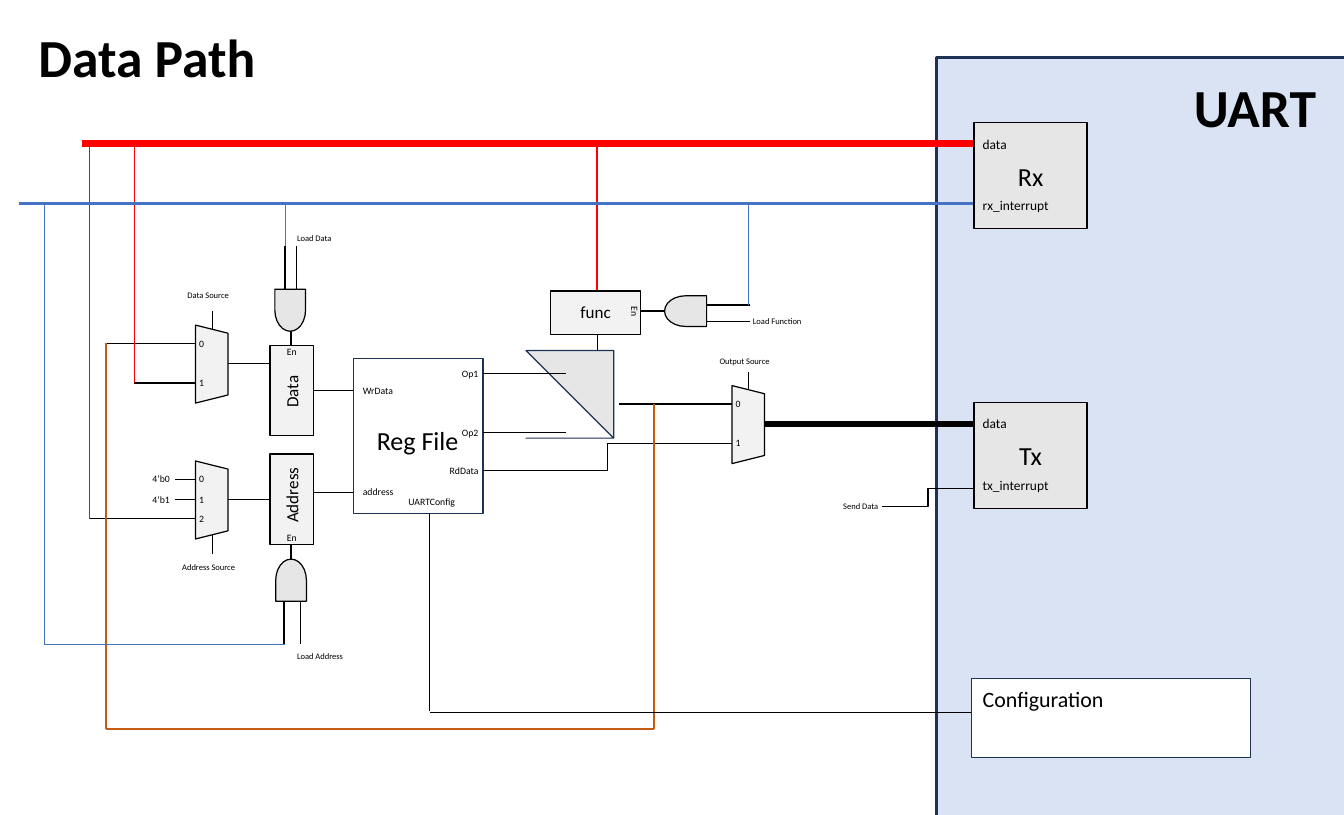
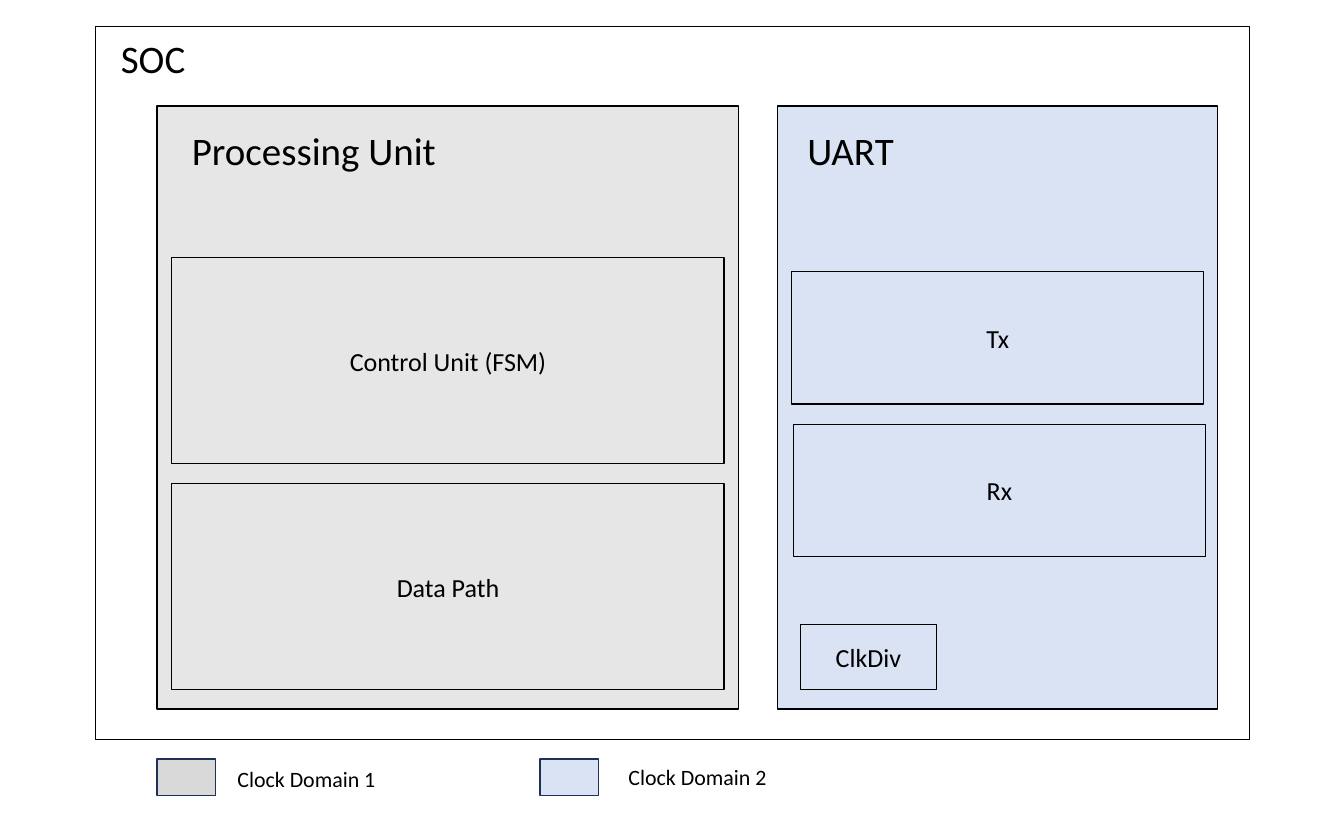
import pptx
import pptx.util
import pptx.dml.color
import pptx.enum.shapes
import pptx.enum.text
import pptx.oxml

# Shared style; every length counts cells of a one-inch grid
CELL = pptx.util.Inches(1)
COLUMNS, ROWS = 15.33, 9.3
FONT = "Calibri"
SIZES = {"title": 44, "unit": 32, "block": 21.4, "caption": 18,
         "name": 14, "port": 11, "pin": 8, "signal": 7}
COLORS = {"ink": "000000", "navy": "1E3256", "uart": "DAE3F3", "unit": "E7E6E6",
          "part": "F2F2F2", "domain": "D9D9D9", "paper": "FFFFFF",
          "data": "FF0000", "interrupt": "4472C4", "result": "C55A11"}
SHAPE = pptx.enum.shapes.MSO_SHAPE
CONNECTOR = pptx.enum.shapes.MSO_CONNECTOR
ALIGN = pptx.enum.text.PP_ALIGN
ANCHOR = pptx.enum.text.MSO_ANCHOR

# Lanes and part sizes of the data path
DATA_BUS, INTERRUPT_BUS = 1.64, 2.32
ADDRESS_LANE, RESULT_LANE, DATA_LANE = 1.02, 1.21, 1.53
MUX_WIDTH, MUX_HEIGHT = 0.37, 0.89
GATE_LENGTH, GATE_WIDTH = 0.48, 0.35
REGISTER_LEFT, REGISTER_WIDTH, REGISTER_HEIGHT = 3.08, 0.5, 1.03
FILE_LEFT, FILE_RIGHT = 4.03, 5.51
UART_PORT = 11.11


def cells(*lengths):
    return [round(length * CELL) for length in lengths]


def rgb(name):
    return pptx.dml.color.RGBColor.from_string(COLORS[name])


def write_text(frame, text, *, size="block", bold=False, center=False):
    paragraph = frame.paragraphs[0]
    paragraph.alignment = ALIGN.CENTER if center else ALIGN.LEFT
    run = paragraph.add_run()
    run.text = text
    run.font.name = FONT
    run.font.size = pptx.util.Pt(SIZES[size])
    run.font.bold = bold
    run.font.color.rgb = rgb("ink")


def label(slide, text, left, top, width, height=0.24, *, turn=0, wrap=True, **style):
    box = slide.shapes.add_textbox(*cells(left, top, width, height))
    box.rotation = turn
    box.text_frame.word_wrap = wrap
    write_text(box.text_frame, text, **style)


def paint(shape, fill, line, weight):
    shape.shadow.inherit = False
    if fill:
        shape.fill.solid()
        shape.fill.fore_color.rgb = rgb(fill)
    else:
        shape.fill.background()
    shape.line.color.rgb = rgb(line)
    shape.line.width = pptx.util.Pt(weight)


def block(slide, left, top, width, height, fill, *, text=None, line="ink",
          weight=1, kind=SHAPE.RECTANGLE, turn=0):
    shape = slide.shapes.add_shape(kind, *cells(left, top, width, height))
    shape.rotation = turn
    paint(shape, fill, line, weight)
    if text:
        shape.text_frame.vertical_anchor = ANCHOR.MIDDLE
        write_text(shape.text_frame, text, center=True)


def wire(slide, start, end, color="ink", weight=1, kind=CONNECTOR.STRAIGHT):
    link = slide.shapes.add_connector(kind, *cells(*start, *end))
    link.line.color.rgb = rgb(color)
    link.line.width = pptx.util.Pt(weight)
    link._element.spPr.append(pptx.oxml.parse_xml(
        '<a:effectLst xmlns:a="http://schemas.openxmlformats.org/drawingml/2006/main"/>'))


def turned_block(slide, x, y, length, breadth, fill, kind, turn):
    """Place a rotated shape by its centre."""
    block(slide, x - length / 2, y - breadth / 2, length, breadth, fill,
          kind=kind, turn=turn)


def gate(slide, x, y, turn):
    turned_block(slide, x, y, GATE_LENGTH, GATE_WIDTH, "unit",
                 SHAPE.FLOWCHART_DELAY, turn)


def mux(slide, left, top, inputs, output, *, select=-0.16, weight=1):
    """inputs: (digit, row below the top, column where its wire starts or None)."""
    right, middle = left + MUX_WIDTH, top + 0.44
    turned_block(slide, left + MUX_WIDTH / 2, top + MUX_HEIGHT / 2,
                 MUX_HEIGHT, MUX_WIDTH, "part", SHAPE.TRAPEZOID, 90)
    wire(slide, (right, middle), (output, middle), weight=weight)
    wire(slide, (left + 0.19, top + select), (left + 0.19, top + select + 0.21))
    for digit, row, start in inputs:
        if start is not None:
            wire(slide, (start, top + row), (left, top + row))
        label(slide, digit, left, top + row - 0.12, 0.14, size="pin",
              center=True, wrap=False)


def register(slide, name, top, name_row, enable_top, output_row):
    middle = REGISTER_LEFT + REGISTER_WIDTH / 2
    right = REGISTER_LEFT + REGISTER_WIDTH
    block(slide, REGISTER_LEFT, top, REGISTER_WIDTH, REGISTER_HEIGHT, "part")
    label(slide, "En", middle - 0.28, enable_top, 0.56, size="pin", center=True)
    label(slide, name, middle - REGISTER_HEIGHT / 2, name_row - 0.17,
          REGISTER_HEIGHT, 0.34, turn=270, size="name", center=True)
    wire(slide, (right, output_row), (FILE_LEFT, output_row))


def transceiver(slide, name, interrupt, top):
    block(slide, UART_PORT, top, 1.29, 1.21, "unit", text=name)
    label(slide, "data", UART_PORT, top + 0.1, 0.54, 0.29, size="port")
    label(slide, interrupt, UART_PORT, top + 0.8, 1.03, 0.29, size="port")


def draw_registers(slide):
    # Load gates
    gate(slide, 3.31, 3.54, 90)
    gate(slide, 3.32, 6.62, 270)
    for x, start, end in [(3.25, 2.81, 3.3), (3.38, 2.81, 3.3), (3.32, 3.78, 4.26),
                          (3.24, 7.35, 6.87), (3.43, 7.35, 6.87), (3.32, 6.39, 5.9)]:
        wire(slide, (x, start), (x, end))

    # Source selectors and the registers they feed
    mux(slide, 2.23, 3.71, [("0", 0.21, RESULT_LANE), ("1", 0.66, DATA_LANE)],
        REGISTER_LEFT)
    mux(slide, 2.23, 5.26, [("0", 0.21, 2), ("1", 0.44, 2), ("2", 0.66, ADDRESS_LANE)],
        REGISTER_LEFT, select=0.85)
    register(slide, "Data", 3.94, 4.47, 3.9, 4.46)
    register(slide, "Address", 5.18, 5.65, 6.02, 5.62)

    # Register file and its pins
    block(slide, FILE_LEFT, 4.09, FILE_RIGHT - FILE_LEFT, 1.77, None, line="navy")
    label(slide, "Reg File", 4.2, 4.79, 1.14, 0.46, wrap=False)
    for pin, left, top, width in [
            ("WrData", 4.04, 4.34, 0.56), ("address", 4.04, 5.5, 0.56),
            ("Op1", 5.17, 4.15, 0.46), ("Op2", 5.17, 4.82, 0.46),
            ("RdData", 5.03, 5.26, 0.56), ("UARTConfig", 4.56, 5.61, 0.76),
            ("4’b0", 1.64, 5.35, 0.43), ("4’b1", 1.64, 5.58, 0.43)]:
        label(slide, pin, left, top, width, size="pin")


def draw_function(slide):
    # Function block with its load gate
    gate(slide, 7.82, 3.55, 180)
    for y in (3.48, 3.67):
        wire(slide, (8.55, y), (8.07, y))
    wire(slide, (7.58, 3.55), (7.1, 3.55))
    wire(slide, (6.82, 3.81), (6.82, 4.29))
    block(slide, 6.28, 3.32, 1.03, 0.5, "part")
    label(slide, "En", 6.96, 3.44, 0.56, turn=90, size="pin", center=True)
    label(slide, "func", 6.51, 3.39, 0.57, 0.34, size="name", center=True)

    # Arithmetic unit and its operands
    corners = [(6.46, 4.09), (7.06, 4.41), (7.06, 4.78), (6.46, 5.09),
               (6.46, 4.82), (6.75, 4.66), (6.75, 4.52), (6.46, 4.36)]
    outline = slide.shapes.build_freeform(*corners[0], scale=CELL)
    outline.add_line_segments(corners[1:], close=True)
    paint(outline.convert_to_shape(), "unit", "navy", 1)
    for y in (4.26, 4.94):
        wire(slide, (FILE_RIGHT, y), (6.46, y))

    # Output selector
    mux(slide, 8.35, 4.4, [("0", 0.21, 7.06), ("1", 0.66, None)], 11.2, weight=4.5)
    wire(slide, (FILE_RIGHT, 5.37), (8.35, 5.06), kind=CONNECTOR.ELBOW)


def draw_buses(slide):
    # Result feedback
    feedback = [(7.46, 4.61), (7.46, 8.32), (RESULT_LANE, 8.32), (RESULT_LANE, 3.91)]
    for start, end in zip(feedback, feedback[1:]):
        wire(slide, start, end, "result")

    # Received data
    wire(slide, (UART_PORT, DATA_BUS), (0.94, DATA_BUS), "data", 6)
    for x, end in [(DATA_LANE, 4.37), (ADDRESS_LANE, 5.92), (6.81, 3.31)]:
        wire(slide, (x, DATA_BUS), (x, end), "data")

    # Interrupt
    wire(slide, (UART_PORT, INTERRUPT_BUS), (0.22, INTERRUPT_BUS), "interrupt", 2.25)
    for x, end in [(3.25, 2.81), (8.54, 3.48), (0.5, 7.35)]:
        wire(slide, (x, INTERRUPT_BUS), (x, end), "interrupt", 0.5)
    wire(slide, (0.5, 7.35), (3.25, 7.35), "interrupt", 0.5)

    # Control signals
    for signal, left, top in [
            ("Load Function", 8.49, 3.56), ("Load Data", 3.29, 2.61),
            ("Load Address", 3.29, 7.38), ("Address Source", 1.98, 6.36),
            ("Data Source", 2.04, 3.26), ("Output Source", 8.11, 4.01),
            ("Send Data", 9.52, 5.67)]:
        label(slide, signal, left, top, 0.86, 0.22, size="signal")


def draw_data_path(slide):
    block(slide, 10.68, 0.66, 7.2, 9.27, "uart", line="navy", weight=2.25)
    draw_registers(slide)
    draw_function(slide)
    draw_buses(slide)

    # UART ports
    transceiver(slide, "Rx", "rx_interrupt", 1.4)
    transceiver(slide, "Tx", "tx_interrupt", 4.59)
    wire(slide, (UART_PORT, 5.57), (10.06, 5.78), kind=CONNECTOR.ELBOW)
    block(slide, 11.08, 7.74, 3.18, 0.9, "paper", line="navy")
    label(slide, "Configuration", UART_PORT, 7.77, 2.42, 0.4, size="caption")
    wire(slide, (4.9, 5.86), (4.9, 8.11), weight=0.5)
    wire(slide, (4.9, 8.13), (11.08, 8.13), weight=0.5)

    # Titles
    label(slide, "Data Path", 0.34, 0.23, 2.74, 0.84, size="title", bold=True)
    label(slide, "UART", 13.52, 0.8, 1.81, 0.84, size="title", bold=True)


def draw_soc(slide):
    # Chip and its two units
    block(slide, 1.09, 0.3, 13.16, 8.14, "paper")
    for left, width, fill in [(1.79, 6.63, "unit"), (8.87, 5.02, "uart")]:
        block(slide, left, 1.21, width, 6.88, fill)
    for name, left, top, width in [("SOC", 1.28, 0.35, 1.61), ("UART", 9.11, 1.4, 1.61),
                                   ("Processing Unit", 2.09, 1.4, 3.52)]:
        label(slide, name, left, top, width, 0.64, size="unit")

    # Parts of the units
    for name, left, top, width, height, fill in [
            ("Control Unit (FSM)", 1.96, 2.94, 6.3, 2.35, "unit"),
            ("Data Path", 1.96, 5.52, 6.3, 2.35, "unit"),
            ("Tx", 9.03, 3.1, 4.7, 1.51, "uart"),
            ("Rx", 9.05, 4.84, 4.7, 1.51, "uart"),
            ("ClkDiv", 9.13, 7.13, 1.55, 0.74, "uart")]:
        block(slide, left, top, width, height, fill, text=name)

    # Legend
    for domain, left, fill, text_left, text_top in [
            ("Clock Domain 1", 1.79, "domain", 2.61, 8.69),
            ("Clock Domain 2", 6.16, "uart", 7.07, 8.67)]:
        block(slide, left, 8.66, 0.67, 0.42, fill, line="navy")
        label(slide, domain, text_left, text_top, 2.06, 0.4, size="caption")


def main():
    deck = pptx.Presentation()
    deck.slide_width, deck.slide_height = cells(COLUMNS, ROWS)
    blank = deck.slide_layouts[6]
    for draw in (draw_data_path, draw_soc):
        draw(deck.slides.add_slide(blank))
    deck.save("out.pptx")


if __name__ == "__main__":
    main()
